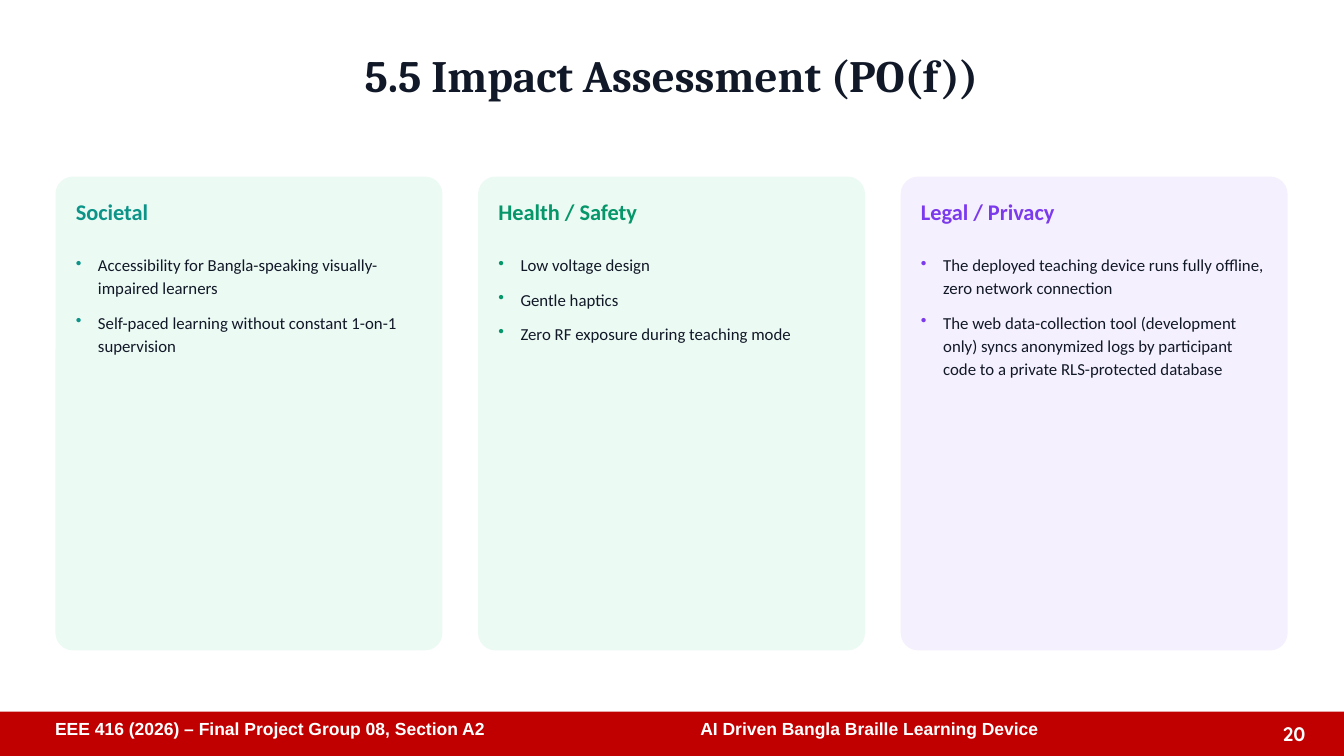
"""Builds the impact assessment slide with three topic cards."""
from lxml.etree import SubElement
from pptx import Presentation
from pptx.dml.color import RGBColor
from pptx.enum.shapes import MSO_SHAPE as Shape
from pptx.enum.text import MSO_ANCHOR as Anchor, PP_ALIGN as Align
from pptx.oxml.ns import qn
from pptx.util import Cm, Pt

WHITE = RGBColor(0xFF, 0xFF, 0xFF)
INK = RGBColor(0x11, 0x18, 0x27)
RED = RGBColor(0xC0, 0x00, 0x00)
TEAL = RGBColor(0x0D, 0x94, 0x88)
GREEN = RGBColor(0x05, 0x96, 0x69)
VIOLET = RGBColor(0x7C, 0x3A, 0xED)
MINT = RGBColor(0xEC, 0xFA, 0xF4)
LILAC = RGBColor(0xF5, 0xF0, 0xFE)

CARDS = [
    ("Societal", TEAL, MINT, [
        "Accessibility for Bangla-speaking visually-impaired learners",
        "Self-paced learning without constant 1-on-1 supervision",
    ]),
    ("Health / Safety", GREEN, MINT, [
        "Low voltage design",
        "Gentle haptics",
        "Zero RF exposure during teaching mode",
    ]),
    ("Legal / Privacy", VIOLET, LILAC, [
        "The deployed teaching device runs fully offline, zero network connection",
        "The web data-collection tool (development only) syncs anonymized logs "
        "by participant code to a private RLS-protected database",
    ]),
]
CARD_LEFT, CARD_TOP = Cm(1.4), Cm(4.45)
CARD_WIDTH, CARD_HEIGHT = Cm(9.75), Cm(11.94)
CARD_PITCH, PADDING = Cm(10.65), Cm(0.51)

prs = Presentation()
prs.slide_width, prs.slide_height = Cm(33.87), Cm(19.05)
slide = prs.slides.add_slide(prs.slide_layouts[6])


def add_panel(kind, left, top, width, height, color):
    panel = slide.shapes.add_shape(kind, left, top, width, height)
    panel.shadow.inherit = False
    panel.fill.solid()
    panel.fill.fore_color.rgb = color
    panel.line.fill.background()
    return panel


def add_text(left, top, width, height, lines, font, size, color, bold=True, side=None):
    frame = slide.shapes.add_textbox(left, top, width, height).text_frame
    frame.word_wrap = True
    if side is not None:
        frame.margin_left = frame.margin_right = side
    for i, line in enumerate(lines):
        paragraph = frame.add_paragraph() if i else frame.paragraphs[0]
        run = paragraph.add_run()
        run.text = line
        run.font.name, run.font.size, run.font.bold = font, Pt(size), bold
        run.font.color.rgb = color
    return frame


add_panel(Shape.RECTANGLE, 0, Cm(17.93), prs.slide_width, Cm(1.12), RED)
page = add_text(Cm(31.7), Cm(18.06), Cm(1.45), Cm(0.86), ["20"], "Quicksand", 14, WHITE)
page.vertical_anchor = Anchor.BOTTOM
page.paragraphs[0].alignment = Align.RIGHT
for left, width, label in [
    (1.14, 16, "EEE 416 (2026) – Final Project Group 08, Section A2"),
    (17.4, 13.59, "AI Driven Bangla Braille Learning Device"),
]:
    add_text(Cm(left), Cm(17.98), Cm(width), Cm(1.07), [label], "Arial", 12.5, WHITE)

title = add_text(Cm(1.4), Cm(1.07), Cm(31.06), Cm(2.54),
                 ["5.5 Impact Assessment (PO(f))"], "Cambria", 32, INK, side=0)
title.paragraphs[0].alignment = Align.CENTER

for column, (topic, accent, tint, points) in enumerate(CARDS):
    left = CARD_LEFT + column * CARD_PITCH
    card = add_panel(Shape.ROUNDED_RECTANGLE, left, CARD_TOP, CARD_WIDTH, CARD_HEIGHT, tint)
    card.adjustments[0] = 0.045
    text_left, text_width = left + PADDING, CARD_WIDTH - 2 * PADDING
    heading = add_text(text_left, Cm(4.9), text_width, Cm(1.27),
                       [topic], "Calibri", 16, accent, side=0)
    impacts = add_text(text_left, Cm(6.35), text_width, Cm(9.53),
                       points, "Calibri", 12, INK, bold=False, side=0)
    for frame in (heading, impacts):
        frame.margin_top = frame.margin_bottom = 0
        for paragraph in frame.paragraphs:
            paragraph.line_spacing = 1.15
    for paragraph in impacts.paragraphs:
        paragraph.space_after = Pt(8)
        props = paragraph._p.get_or_add_pPr()
        props.set("marL", str(Cm(0.56)))
        props.set("indent", str(-Cm(0.56)))
        bullet_color = SubElement(props, qn("a:buClr"))
        SubElement(bullet_color, qn("a:srgbClr"), val=str(accent))
        SubElement(props, qn("a:buChar"), char="•")

prs.save("out.pptx")
